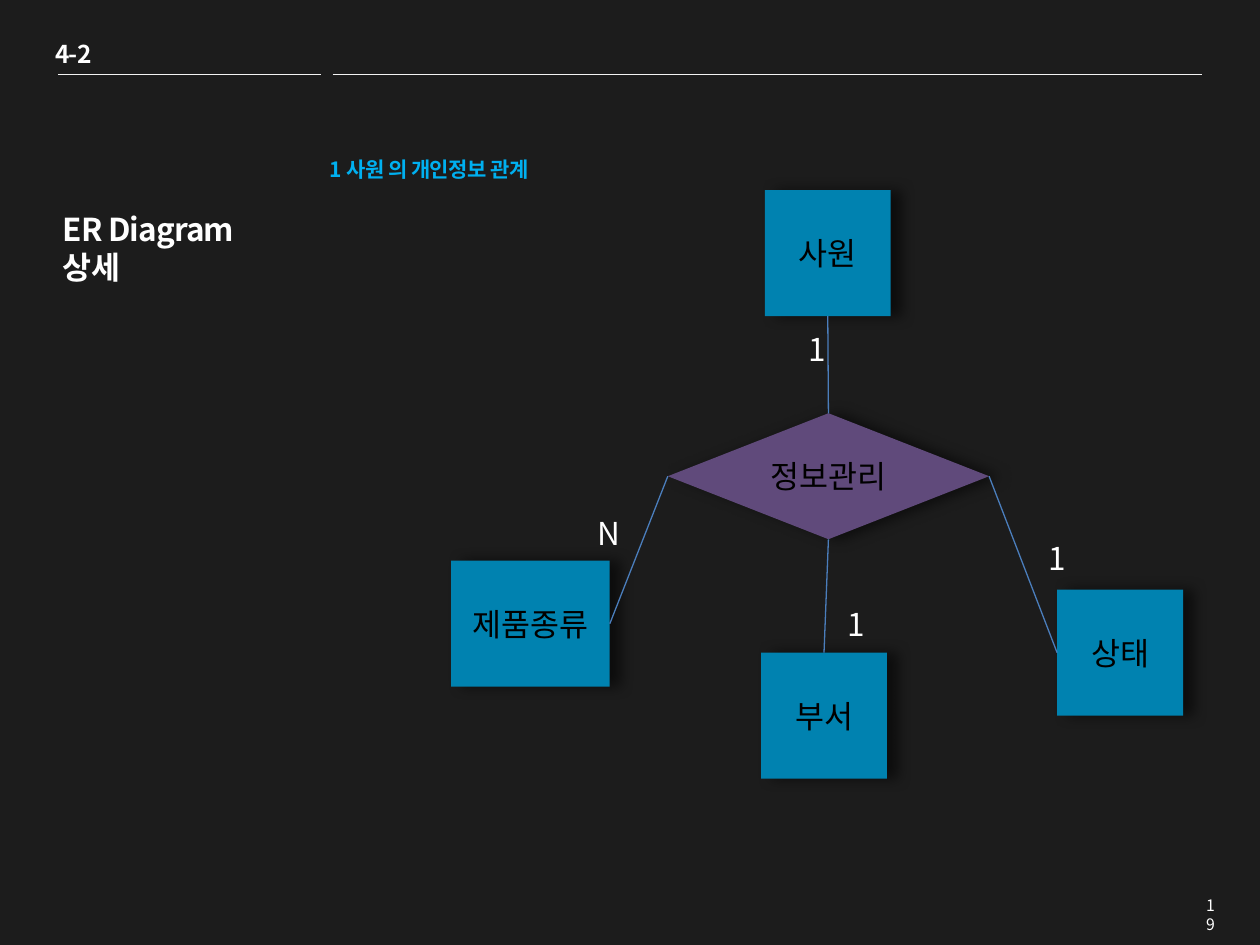
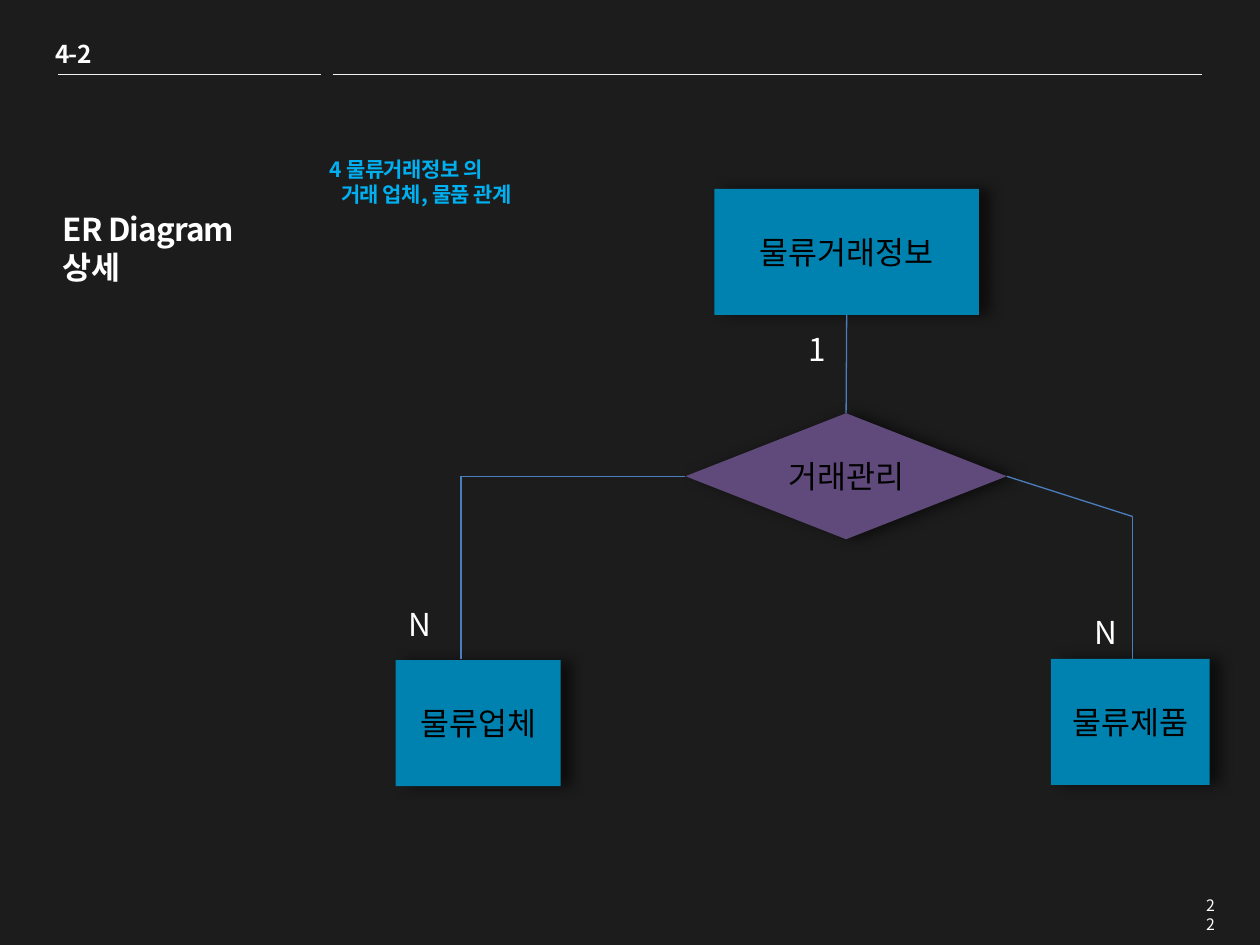
from lxml.etree import SubElement
from pptx import Presentation
from pptx.dml.color import RGBColor
from pptx.enum.shapes import MSO_CONNECTOR, MSO_SHAPE
from pptx.enum.text import MSO_ANCHOR, PP_ALIGN
from pptx.oxml.ns import qn
from pptx.util import Inches, Pt

FONT = "Noto Sans CJK KR"
BACK, WHITE, BLACK = "1C1C1C", "FFFFFF", "000000"
RULE, LINK, BLUE = "F2F2F2", "4B7EBC", "00B0F0"
ENTITY, RELATION = "0082B0", "604A7B"
TOP, LEFT, BOTTOM, RIGHT = range(4)


def paint(target, color):
    """Give a fill or a font a solid colour."""
    if hasattr(target, "solid"):
        target.solid()
        target.fore_color.rgb = RGBColor.from_string(color)
    else:
        target.color.rgb = RGBColor.from_string(color)


def write(frame, lines, size, color, bold=False, align=PP_ALIGN.LEFT, track=0):
    """Write one paragraph per line in a single style."""
    for i, line in enumerate(lines):
        para = frame.add_paragraph() if i else frame.paragraphs[0]
        run = para.add_run()
        run.text = line
        para.font.name, para.font.size, para.font.bold = FONT, Pt(size), bold
        paint(para.font, color)
        para.alignment = align
        para.line_spacing = Pt(size * 1.2)
        para.space_before = Pt(0)
        if track:
            run._r.get_or_add_rPr().set("spc", str(track))


def label(slide, box, lines, size, color=WHITE, wrap=False, **style):
    """Add a text box and return its frame."""
    frame = slide.shapes.add_textbox(*map(Inches, box)).text_frame
    frame.word_wrap = wrap
    write(frame, lines, size, color, **style)
    return frame


def line(slide, start, end, color=LINK, width=0.75):
    """Draw a straight line between two points in inches."""
    ends = map(Inches, (*start, *end))
    wire = slide.shapes.add_connector(MSO_CONNECTOR.STRAIGHT, *ends)
    paint(wire.line.fill, color)
    wire.line.width = Pt(width)
    SubElement(wire._element.spPr, qn("a:effectLst"))
    return wire


def shade(shape):
    """Cast a soft shadow to the right of a shape."""
    shape.shadow.inherit = False
    effects = shape._element.spPr.find(qn("a:effectLst"))
    cast = SubElement(effects, qn("a:outerShdw"), blurRad=str(Pt(8)),
                      dist=str(Pt(6)), dir="0", algn="ctr", rotWithShape="0")
    tint = SubElement(cast, qn("a:srgbClr"), val=BLACK)
    SubElement(tint, qn("a:alpha"), val="55000")


def node(slide, kind, color, box, text):
    """Add a named entity or relation."""
    shape = slide.shapes.add_shape(kind, *map(Inches, box))
    paint(shape.fill, color)
    shape.line.fill.background()
    shade(shape)
    shape.text_frame.vertical_anchor = MSO_ANCHOR.MIDDLE
    write(shape.text_frame, [text], 18, BLACK, align=PP_ALIGN.CENTER)
    return shape


def header(slide, left, top, width):
    """Place the section number over its two rules."""
    label(slide, (left - 0.12, top - 0.33, 0.49, 0.34), ["4-2"], 14,
          bold=True, track=-50)
    for start, end in ((0, 2.09), (2.18, width)):
        line(slide, (left + start, top), (left + end, top), RULE, 0.25)


def heading(slide, left, top, topic):
    """Place the side title and the blue topic next to it."""
    title = slide.shapes.title
    title.left, title.top = Inches(left), Inches(top)
    title.width, title.height = Inches(2.2), Inches(1.61)
    frame = title.text_frame
    frame.word_wrap = True
    frame.vertical_anchor = MSO_ANCHOR.TOP
    frame.margin_top = Inches(0.65)
    write(frame, [" ER Diagram", " 상세"], 18, WHITE, bold=True, track=-50)
    height = 0.1 + 0.2 * len(topic)
    frame = label(slide, (left + 2.17, top + 0.17, 2.83, height), topic, 12,
                  BLUE, wrap=True, bold=True, track=-30)
    for para in frame.paragraphs[1:]:
        para._p.get_or_add_pPr().set("marL", str(Inches(0.09)))


def diagram(slide, left, top, relation, entities, links, bends, marks):
    """Draw one relation with its entities, links and cardinalities."""
    def at(x, y):
        """Shift a point into the diagram."""
        return left + x, top + y

    text, x, y = relation
    hub = node(slide, MSO_SHAPE.DIAMOND, RELATION, (*at(x, y), 2.55, 1), text)
    boxes = {name: node(slide, MSO_SHAPE.RECTANGLE, ENTITY,
                        (*at(x, y), width, 1), name)
             for name, x, y, width in entities}
    for side, name, site in links:
        wire = line(slide, at(0, 0), at(1, 1))
        wire.begin_connect(hub, side)
        wire.end_connect(boxes[name], site)
    for side, turn, end in bends:
        wire = line(slide, at(*turn), at(*turn))
        wire.begin_connect(hub, side)
        line(slide, at(*turn), at(*end))
    for mark, x, y in marks:
        width = 0.39 if mark == "N" else 0.35
        label(slide, (*at(x, y), width, 0.4), [mark], 18)


def page(deck, number, topic, origin, **parts):
    """Build one relation slide."""
    slide = deck.slides.add_slide(deck.slide_layouts[5])
    heading(slide, 0.35, 1.02, topic)
    header(slide, 0.46, 0.59, 9.08)
    label(slide, (9.46, 7.06, 0.28, 0.25), [number], 9, wrap=True,
          align=PP_ALIGN.RIGHT)
    diagram(slide, *origin, **parts)


def main():
    """Build and save the deck."""
    deck = Presentation()
    deck.slide_width, deck.slide_height = Inches(10), Inches(7.5)
    paint(deck.slide_master.background.fill, BACK)
    page(deck, "19", ["1 사원 의 개인정보 관계"], (3.58, 1.51),
         relation=("정보관리", 1.72, 1.77),
         entities=[("사원", 2.49, 0, 1), ("부서", 2.46, 3.67, 1),
                   ("상태", 4.81, 3.17, 1), ("제품종류", 0, 2.94, 1.26)],
         links=[(TOP, "사원", BOTTOM), (LEFT, "제품종류", RIGHT),
                (BOTTOM, "부서", TOP), (RIGHT, "상태", LEFT)],
         bends=[],
         marks=[("1", 2.74, 1.06), ("1", 4.64, 2.72),
                ("1", 3.05, 3.24), ("N", 1.06, 2.52)])
    page(deck, "22", ["4 물류거래정보 의", "거래 업체, 물품 관계"], (3.14, 1.5),
         relation=("거래관리", 2.3, 1.78),
         entities=[("물류거래정보", 2.53, 0, 2.1), ("물류업체", 0, 3.74, 1.31),
                   ("물류제품", 5.2, 3.73, 1.26)],
         links=[(TOP, "물류거래정보", BOTTOM)],
         bends=[(LEFT, (0.52, 2.28), (0.52, 3.73)),
                (RIGHT, (5.85, 2.6), (5.85, 3.73))],
         marks=[("1", 3.18, 1.07), ("N", 5.45, 3.32), ("N", 0, 3.25)])
    deck.save("out.pptx")


if __name__ == "__main__":
    main()
